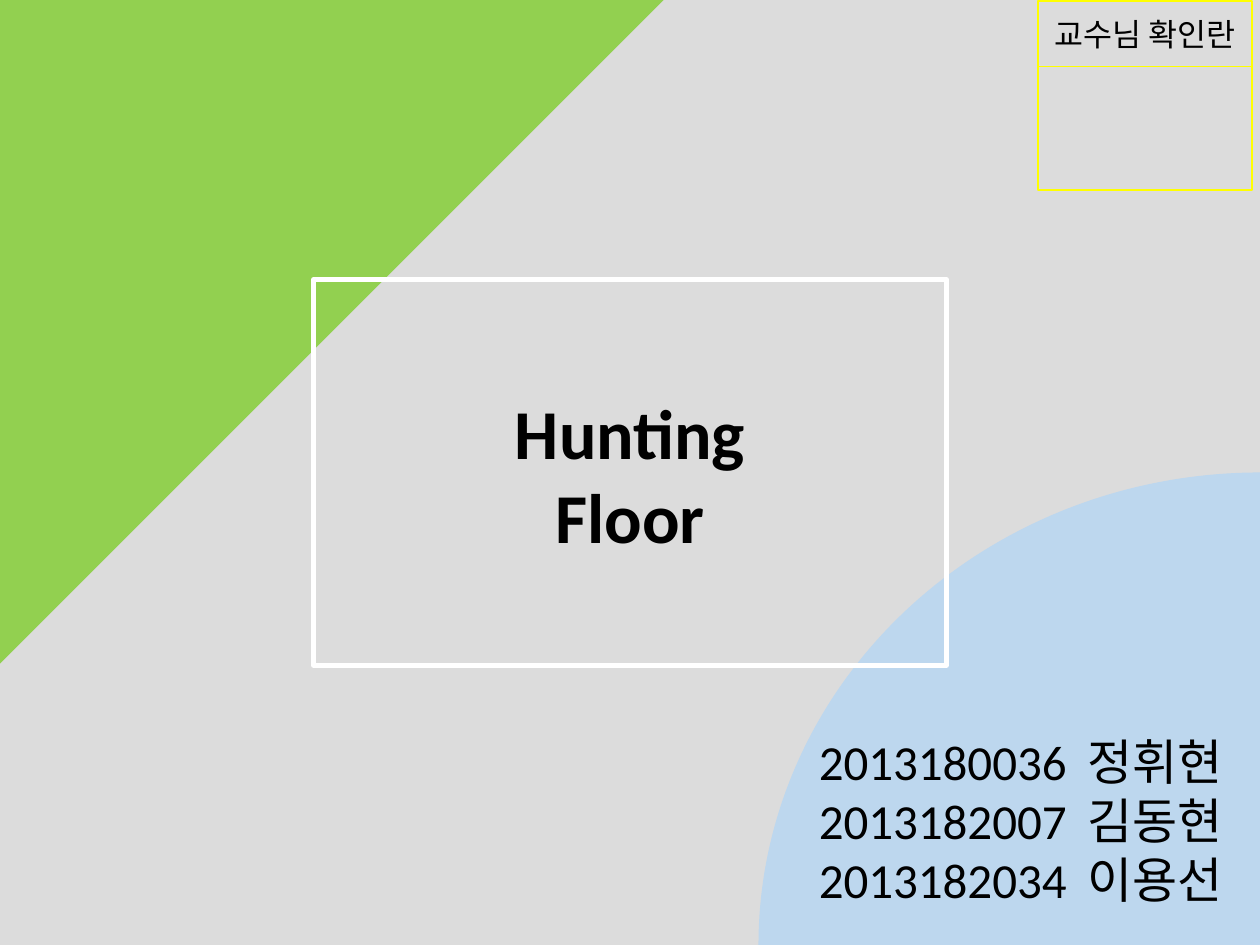
from lxml.etree import SubElement
from pptx import Presentation
from pptx.dml.color import RGBColor
from pptx.enum.shapes import MSO_CONNECTOR, MSO_SHAPE
from pptx.enum.text import MSO_ANCHOR, MSO_AUTO_SIZE, PP_ALIGN
from pptx.oxml.ns import qn
from pptx.util import Inches, Pt

GRAY = RGBColor(0xDC, 0xDC, 0xDC)
GREEN = RGBColor(0x92, 0xD0, 0x50)
BLUE = RGBColor(0xBD, 0xD7, 0xEE)
WHITE = RGBColor(0xFF, 0xFF, 0xFF)
YELLOW = RGBColor(0xFF, 0xFF, 0x00)
BLACK = RGBColor(0x00, 0x00, 0x00)
FONT = "Calibri"
TITLE_LINES = ["Hunting", "Floor"]
MEMBERS = [("2013180036", "정휘현"), ("2013182007", "김동현"), ("2013182034", "이용선")]


def add_block(shapes, kind, box, fill=None, line=None, width=1):
    shape = shapes.add_shape(kind, *map(Inches, box))
    shape.shadow.inherit = False
    if fill is None:
        shape.fill.background()
    else:
        shape.fill.solid()
        shape.fill.fore_color.rgb = fill
    if line is None:
        shape.line.fill.background()
    else:
        shape.line.color.rgb = line
        shape.line.width = Pt(width)
    return shape


def write_lines(frame, lines, size, align=PP_ALIGN.LEFT, bold=False):
    frame.word_wrap = True
    frame.auto_size = MSO_AUTO_SIZE.NONE
    for index, text in enumerate(lines):
        paragraph = frame.add_paragraph() if index else frame.paragraphs[0]
        paragraph.alignment = align
        run = paragraph.add_run()
        run.text = text
        run.font.name = FONT
        run.font.size = Pt(size)
        run.font.bold = bold
        run.font.color.rgb = BLACK


def add_backdrop(slide, width, height):
    slide.background.fill.solid()
    slide.background.fill.fore_color.rgb = GRAY
    corner = add_block(slide.shapes, MSO_SHAPE.ISOSCELES_TRIANGLE,
                       (-2.44, -0.56, 7.48, 3.75), GREEN)
    corner.rotation = 315
    radius_x, radius_y = 3.98, 3.75
    quarter = add_block(slide.shapes, MSO_SHAPE.PIE,
                        (width - radius_x, height - radius_y, 2 * radius_x, 2 * radius_y), BLUE)
    quarter.adjustments[0] = 108
    quarter.adjustments[1] = 162


def add_title(slide, left, top, width, height):
    add_block(slide.shapes, MSO_SHAPE.RECTANGLE, (left, top, width, height), line=WHITE, width=3)
    title = slide.shapes.title
    title.left, title.top = Inches(left), Inches(top + 0.81)
    title.width, title.height = Inches(width), Inches(1.45)
    title.text_frame.vertical_anchor = MSO_ANCHOR.MIDDLE
    write_lines(title.text_frame, TITLE_LINES, 40, PP_ALIGN.CENTER, True)
    slide.shapes._spTree.append(title._element)


def add_approval_box(slide, left, top, width, height):
    group = slide.shapes.add_group_shape()
    add_block(group.shapes, MSO_SHAPE.RECTANGLE, (left, top, width, height), line=YELLOW)
    divider_y = Inches(top + 0.52)
    divider = group.shapes.add_connector(MSO_CONNECTOR.STRAIGHT, Inches(left), divider_y,
                                         Inches(left + width), divider_y)
    divider.line.color.rgb = YELLOW
    divider.line.width = Pt(0.5)
    SubElement(divider._element.spPr, qn("a:effectLst"))
    label = group.shapes.add_textbox(Inches(left - 0.07), Inches(top + 0.06),
                                     Inches(width + 0.13), Inches(0.4))
    write_lines(label.text_frame, ["교수님 확인란"], 18, PP_ALIGN.CENTER)


def add_members(slide, left, top, width, height):
    box = slide.shapes.add_textbox(*map(Inches, (left, top, width, height)))
    write_lines(box.text_frame, ["\t".join(member) for member in MEMBERS], 28)
    for paragraph in box.text_frame.paragraphs:
        tabs = SubElement(paragraph._p.get_or_add_pPr(), qn("a:tabLst"))
        SubElement(tabs, qn("a:tab"), pos=str(Inches(2.13)), algn="l")


def build_cover(presentation, width, height):
    slide = presentation.slides.add_slide(presentation.slide_layouts[5])
    add_backdrop(slide, width, height)
    add_title(slide, 2.49, 2.22, 5.02, 3.06)
    add_approval_box(slide, 8.24, 0.01, 1.7, 1.5)
    add_members(slide, 6.4, 5.76, 3.6, 1.51)


presentation = Presentation()
presentation.slide_width = Inches(10)
presentation.slide_height = Inches(7.5)
build_cover(presentation, 10, 7.5)
presentation.save("out.pptx")
